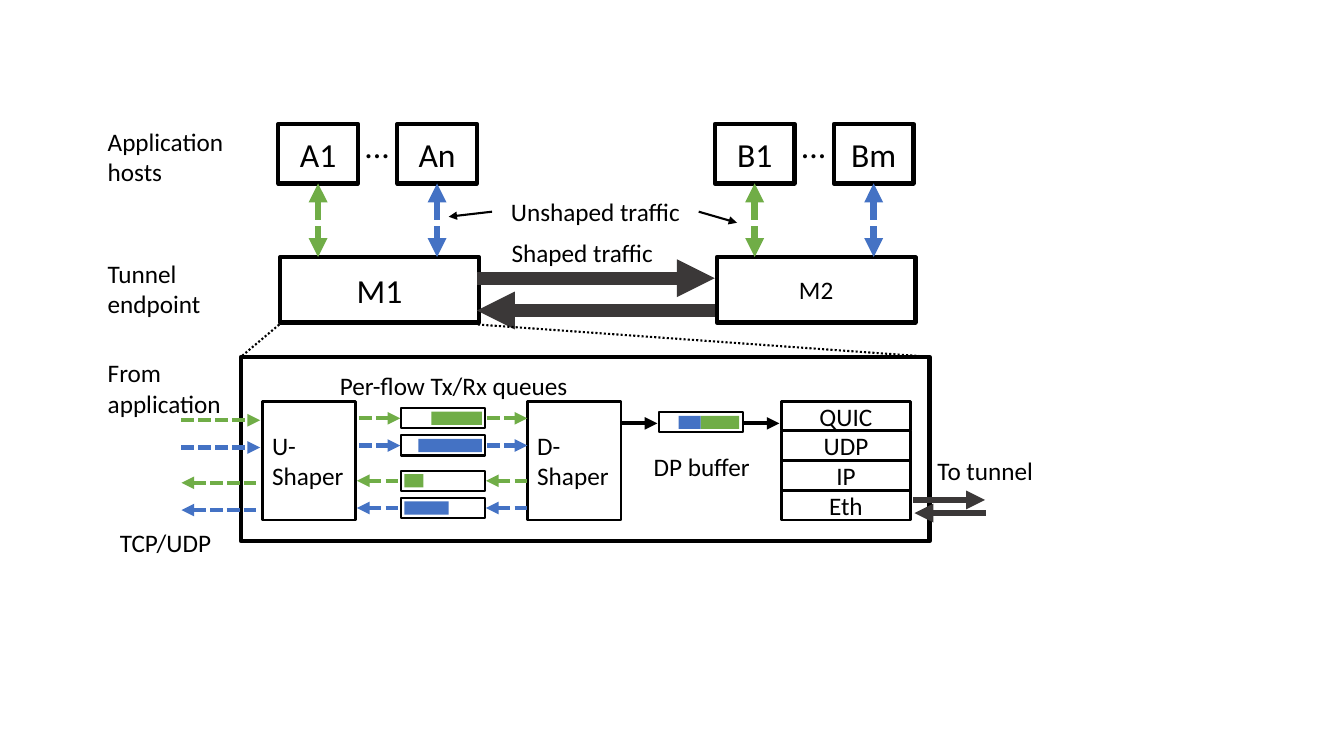
from dataclasses import dataclass

from lxml.etree import SubElement
from pptx import Presentation
from pptx.dml.color import RGBColor
from pptx.enum.dml import MSO_LINE
from pptx.enum.shapes import MSO_CONNECTOR, MSO_SHAPE
from pptx.enum.text import MSO_ANCHOR, PP_ALIGN
from pptx.oxml.ns import qn
from pptx.util import Inches, Pt


@dataclass(frozen=True)
class Theme:
    """Colours and type sizes of the diagram."""

    font: str = "Calibri"
    ink: str = "000000"
    green: str = "70AD47"
    blue: str = "4472C4"
    tunnel: str = "3B3838"
    large: int = 24
    body: int = 18


THEME = Theme()
FLOW_COLORS = (THEME.green, THEME.blue)


def write(frame, wording, size, align):
    """Put wording into a text frame in the theme's type."""
    frame.word_wrap = True
    paragraph = frame.paragraphs[0]
    paragraph.text = wording
    paragraph.alignment = align
    paragraph.font.name = THEME.font
    paragraph.font.size = Pt(size)
    paragraph.font.color.rgb = RGBColor.from_string(THEME.ink)


def label(slide, left, top, width, height, wording, size=THEME.body, align=PP_ALIGN.LEFT):
    """Add free-standing text."""
    caption = slide.shapes.add_textbox(Inches(left), Inches(top), Inches(width), Inches(height))
    write(caption.text_frame, wording, size, align)


def add_rect(slide, left, top, width, height):
    """Add a rectangle without a shadow."""
    rect = slide.shapes.add_shape(
        MSO_SHAPE.RECTANGLE, Inches(left), Inches(top), Inches(width), Inches(height))
    rect.shadow.inherit = False
    return rect


def outline(slide, left, top, width, height, weight, wording="", size=THEME.body,
            align=PP_ALIGN.CENTER):
    """Add an unfilled box with an optional centred-height wording."""
    frame = add_rect(slide, left, top, width, height)
    frame.fill.background()
    frame.line.color.rgb = RGBColor.from_string(THEME.ink)
    frame.line.width = Pt(weight)
    if wording:
        frame.text_frame.vertical_anchor = MSO_ANCHOR.MIDDLE
        write(frame.text_frame, wording, size, align)


def packets(slide, left, top, width, color):
    """Add the filled part of a queue."""
    filled = add_rect(slide, left, top, width, 0.13)
    filled.fill.solid()
    filled.fill.fore_color.rgb = RGBColor.from_string(color)
    filled.line.fill.background()


def link(slide, start, end, color, weight, dash=None, ends=("tailEnd",)):
    """Draw a straight line with arrowheads at the given ends."""
    connector = slide.shapes.add_connector(
        MSO_CONNECTOR.STRAIGHT, *(Inches(value) for value in (*start, *end)))
    connector.line.color.rgb = RGBColor.from_string(color)
    connector.line.width = Pt(weight)
    if dash:
        connector.line.dash_style = dash
    properties = connector._element.spPr
    for end_name in ends:
        SubElement(properties.find(qn("a:ln")), qn(f"a:{end_name}"), type="triangle")
    SubElement(properties, qn("a:effectLst"))


def site(slide, left, top, hosts, endpoint, endpoint_size):
    """Draw two application hosts above their tunnel endpoint."""
    pitch, width, height, endpoint_top = 1.18, 0.79, 0.59, top + 1.32
    outline(slide, left + 0.02, endpoint_top, 1.97, 0.65, 3, endpoint, endpoint_size)
    for index, (host, color) in enumerate(zip(hosts, FLOW_COLORS)):
        host_left = left + index * pitch
        center = host_left + width / 2
        outline(slide, host_left, top, width, height, 3, host, THEME.large)
        link(slide, (center, top + height), (center, endpoint_top), color, 4.5,
             MSO_LINE.SQUARE_DOT, ("headEnd", "tailEnd"))
    label(slide, left + 0.63, top - 0.04, 0.7, 0.5, "...", THEME.large, PP_ALIGN.CENTER)


def tunnel(slide, left, top, width):
    """Draw the shaped traffic between endpoints and name both traffic kinds."""
    right = left + width
    for offset, end in ((0.86, "tailEnd"), (1.18, "headEnd")):
        link(slide, (left, top + offset), (right, top + offset), THEME.tunnel, 9, ends=(end,))
    label(slide, left + 0.12, top + 0.41, 1.85, 0.4, "Shaped traffic", align=PP_ALIGN.CENTER)
    label(slide, left + 0.15, top, 2.05, 0.4, "Unshaped traffic", align=PP_ALIGN.CENTER)
    link(slide, (left + 0.15, top + 0.2), (left - 0.28, top + 0.25), THEME.ink, 1.5)
    link(slide, (left + 2.2, top + 0.2), (left + 2.58, top + 0.31), THEME.ink, 1.5)


def flows(slide, left, top):
    """Draw the per-flow queues with the arrows on both sides of each."""
    rows = (
        (0, 0.3, 0.5, "tailEnd"),
        (0.27, 0.17, 0.63, "tailEnd"),
        (0.62, 0.03, 0.19, "headEnd"),
        (0.89, 0.03, 0.44, "headEnd"),
    )
    segments = {
        "tailEnd": ((-0.42, -0.01), (0.85, 1.25)),
        "headEnd": ((-0.44, -0.01), (0.84, 1.28)),
    }
    for index, (offset, fill_left, fill_width, end) in enumerate(rows):
        color = FLOW_COLORS[index % 2]
        row_top = top + offset
        outline(slide, left, row_top, 0.83, 0.2, 1.5)
        packets(slide, left + fill_left, row_top + 0.035, fill_width, color)
        spans = [(start, stop, 0.1) for start, stop in segments[end]]
        for start, stop, drop in (*spans, (-2.18, -1.4, 0.12)):
            link(slide, (left + start, row_top + drop), (left + stop, row_top + drop),
                 color, 3, MSO_LINE.SQUARE_DOT, (end,))


def dp_buffer(slide, left, top):
    """Draw the shared buffer with its two packets and arrows."""
    outline(slide, left, top, 0.83, 0.2, 1.5)
    packets(slide, left + 0.41, top + 0.035, 0.38, THEME.green)
    packets(slide, left + 0.19, top + 0.035, 0.22, THEME.blue)
    label(slide, left - 0.33, top + 0.34, 1.5, 0.4, "DP buffer", align=PP_ALIGN.CENTER)
    for start in (-0.39, 0.82):
        link(slide, (left + start, top + 0.11), (left + start + 0.37, top + 0.11), THEME.ink, 3)


def protocol_stack(slide, left, top, height):
    """Draw the protocol layers and the link to the tunnel."""
    layers = ("QUIC", "UDP", "IP", "Eth")
    pitch = height / len(layers)
    for index, layer in enumerate(layers):
        outline(slide, left, top + index * pitch, 1.28, pitch, 2, layer)
    for start, drop, end in ((1.31, 0.98, "tailEnd"), (1.32, 1.11, "headEnd")):
        link(slide, (left + start, top + drop), (left + start + 0.71, top + drop),
             THEME.tunnel, 4.5, ends=(end,))
    label(slide, left + 1.45, top + 0.49, 1.43, 0.4, "To tunnel")


def endpoint_detail(slide, left, top, width, height):
    """Draw the enlarged inside of a tunnel endpoint."""
    outline(slide, left, top, width, height, 3)
    for start, stop in ((0.38, 0), (2.35, width)):
        link(slide, (left + start, top - 0.32), (left + stop, top), THEME.ink, 1.5,
             MSO_LINE.ROUND_DOT, ())
    for offset, shaper in ((0.21, "U-Shaper"), (2.84, "D-\vShaper")):
        outline(slide, left + offset, top + 0.44, 0.93, 1.18, 2, shaper, align=PP_ALIGN.LEFT)
    flows(slide, left + 1.59, top + 0.51)
    label(slide, left + 0.57, top + 0.08, 3.08, 0.4, "Per-flow Tx/Rx queues",
          align=PP_ALIGN.CENTER)
    dp_buffer(slide, left + 4.15, top + 0.55)
    protocol_stack(slide, left + 5.36, top + 0.44, 1.18)


def row_labels(slide, left, top):
    """Name the rows of the diagram along the left edge."""
    label(slide, left, top, 1.8, 0.71, "Application hosts")
    label(slide, left, top + 1.31, 1.67, 0.71, "Tunnel endpoint")
    label(slide, left, top + 2.3, 1.49, 0.71, "From application")
    label(slide, left + 0.12, top + 3.98, 1.34, 0.4, "TCP/UDP")


def main():
    """Build the slide and save it."""
    deck = Presentation()
    deck.slide_width, deck.slide_height = Inches(13.33), Inches(7.5)
    slide = deck.slides.add_slide(deck.slide_layouts[6])
    site(slide, 2.76, 1.23, ("A1", "An"), "M1", THEME.large)
    site(slide, 7.09, 1.23, ("B1", "Bm"), "M2", THEME.body)
    tunnel(slide, 4.73, 1.9, 2.36)
    endpoint_detail(slide, 2.39, 3.54, 6.83, 1.83)
    row_labels(slide, 0.97, 1.2)
    deck.save("out.pptx")


if __name__ == "__main__":
    main()
